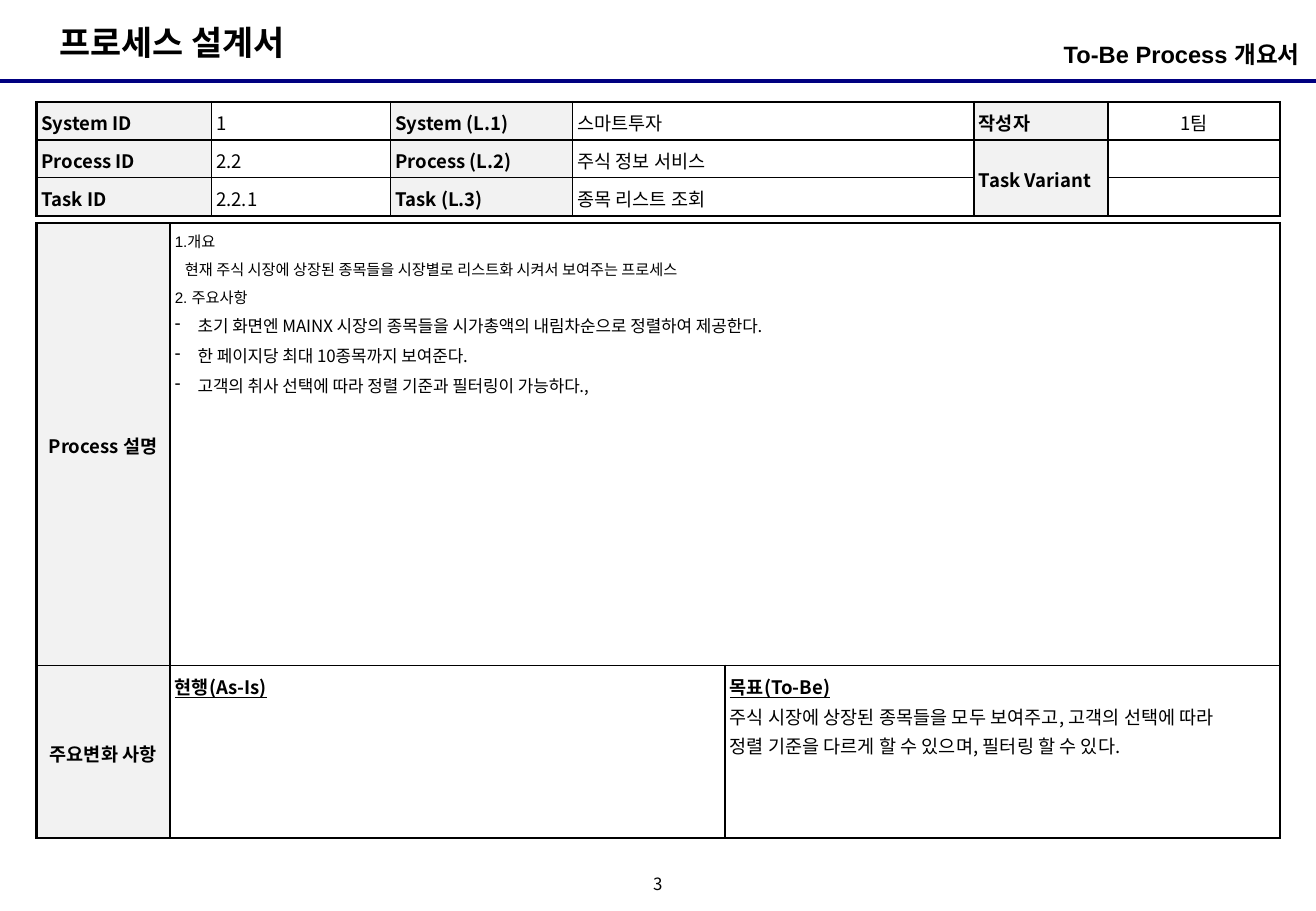
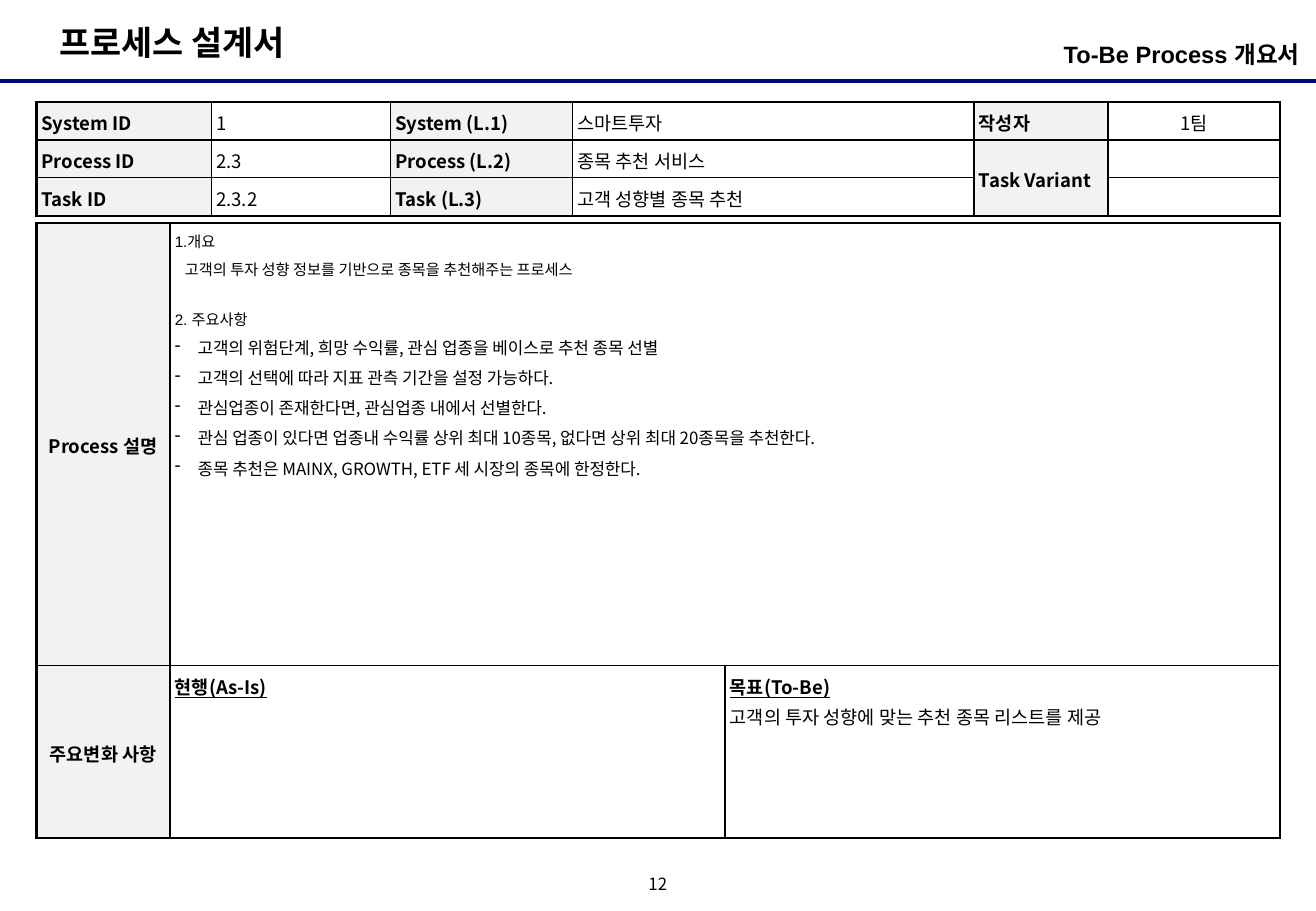
"""Build two process design sheets with a header, an ID grid and a detail grid."""
from dataclasses import dataclass

from lxml import etree
from pptx import Presentation
from pptx.dml.color import RGBColor
from pptx.enum.shapes import MSO_CONNECTOR
from pptx.enum.text import MSO_ANCHOR, MSO_AUTO_SIZE, PP_ALIGN
from pptx.oxml.ns import qn
from pptx.slide import Slide
from pptx.table import Table, _Cell
from pptx.text.text import TextFrame
from pptx.util import Pt

LEFT, MID, RIGHT = PP_ALIGN.LEFT, PP_ALIGN.CENTER, PP_ALIGN.RIGHT
TOP, CENTER = MSO_ANCHOR.TOP, MSO_ANCHOR.MIDDLE
GROW, FIXED = MSO_AUTO_SIZE.SHAPE_TO_FIT_TEXT, MSO_AUTO_SIZE.NONE
STRAIGHT = MSO_CONNECTOR.STRAIGHT


@dataclass(frozen=True)
class Theme:
    ink: str = "000000"
    navy: str = "000080"
    gray: str = "F2F2F2"
    white: str = "FFFFFF"
    latin: str = "Arial"
    asian: str = "Noto Sans CJK KR"
    title: float = 20
    head: float = 14
    cell: float = 11
    body: float = 10
    note: float = 9
    thick: float = 1.5
    thin: float = 1
    rule: float = 2.25
    pad: float = 2.83


THEME = Theme()


@dataclass(frozen=True)
class Para:
    text: str
    size: float = THEME.cell
    font: str = THEME.asian
    bold: bool = False
    under: bool = False
    align: PP_ALIGN = LEFT
    space: float = 1.1
    before: float = 0
    indent: float = 0
    dash: bool = False


@dataclass(frozen=True)
class Box:
    left: float
    top: float
    width: float
    height: float
    pads: tuple[float, float] = (0, 0)
    anchor: MSO_ANCHOR = TOP
    fit: MSO_AUTO_SIZE = FIXED


@dataclass(frozen=True)
class Grid:
    left: float
    top: float
    cols: tuple[float, ...]
    rows: tuple[float, ...]


@dataclass(frozen=True)
class Entry:
    paras: list[Para]
    fill: str = THEME.white
    anchor: MSO_ANCHOR = TOP
    rows: int = 1
    cols: int = 1


@dataclass(frozen=True)
class Sheet:
    page: str
    codes: tuple[str, str]
    names: tuple[str, str]
    about: str
    gap: float
    points: list[str]
    goals: list[str]


WIDTH, HEIGHT = 780, 540
TITLE = Box(28, 9.4, 162.8, 31.6, (7.2, 3.6), fit=GROW)
HEAD = Box(532.2, 20.2, 238.2, 28, (0, 3.6))
PAGE = Box(378, 516.2, 23.8, 18, anchor=CENTER)
IDS = Grid(21.6, 60.4, (103.7, 106.2, 107.9, 238, 79.3, 102.2), (22.5,) * 3)
DETAIL = Grid(21.6, 132.4, (79.2, 329, 329), (262, 102.2))

SHEETS = [
    Sheet("3", ("2.2", "2.2.1"), ("주식 정보 서비스", "종목 리스트 조회"),
          "현재 주식 시장에 상장된 종목들을 시장별로 리스트화 시켜서 보여주는 프로세스", 2,
          ["초기 화면엔 MAINX 시장의 종목들을 시가총액의 내림차순으로 정렬하여 제공한다.",
           "한 페이지당 최대 10종목까지 보여준다.",
           "고객의 취사 선택에 따라 정렬 기준과 필터링이 가능하다.,"],
          ["주식 시장에 상장된 종목들을 모두 보여주고, 고객의 선택에 따라",
           "정렬 기준을 다르게 할 수 있으며, 필터링 할 수 있다."]),
    Sheet("12", ("2.3", "2.3.2"), ("종목 추천 서비스", "고객 성향별 종목 추천"),
          "고객의 투자 성향 정보를 기반으로 종목을 추천해주는 프로세스", 15,
          ["고객의 위험단계, 희망 수익률, 관심 업종을 베이스로 추천 종목 선별",
           "고객의 선택에 따라 지표 관측 기간을 설정 가능하다.",
           "관심업종이 존재한다면, 관심업종 내에서 선별한다.",
           "관심 업종이 있다면 업종내 수익률 상위 최대 10종목, 없다면 상위 최대 20종목을 추천한다.",
           "종목 추천은 MAINX, GROWTH, ETF 세 시장의 종목에 한정한다."],
          ["고객의 투자 성향에 맞는 추천 종목 리스트를 제공"]),
]


def add_color(parent: etree._Element, tag: str, color: str) -> None:
    fill = etree.SubElement(parent, qn(tag))
    etree.SubElement(fill, qn("a:srgbClr"), val=color)


def write(frame: TextFrame, paras: list[Para]) -> None:
    for i, item in enumerate(paras):
        para = frame.add_paragraph() if i else frame.paragraphs[0]
        form = {"alignment": item.align, "line_spacing": item.space,
                "space_before": Pt(item.before)}
        for key, value in form.items():
            setattr(para, key, value)
        props = para._p.get_or_add_pPr()
        props.set("marL", str(Pt(item.indent)))
        props.set("indent", str(Pt(-item.indent if item.dash else 0)))
        if item.dash:
            add_color(props, "a:buClr", THEME.ink)
            etree.SubElement(props, qn("a:buChar"), char="-")
        if not item.text:
            etree.SubElement(para._p, qn("a:endParaRPr"), sz=str(int(item.size * 100)))
            continue
        run = para.add_run()
        run.text = item.text
        form = {"size": Pt(item.size), "name": item.font, "bold": item.bold,
                "underline": item.under}
        for key, value in form.items():
            setattr(run.font, key, value)
        run.font.color.rgb = RGBColor.from_string(THEME.ink)
        etree.SubElement(run._r.get_or_add_rPr(), qn("a:ea"), typeface=THEME.asian)


def add_text(slide: Slide, box: Box, para: Para) -> None:
    shape = slide.shapes.add_textbox(
        Pt(box.left), Pt(box.top), Pt(box.width), Pt(box.height))
    side, edge = box.pads
    form = {"word_wrap": True, "auto_size": box.fit, "vertical_anchor": box.anchor,
            "margin_left": Pt(side), "margin_right": Pt(side),
            "margin_top": Pt(edge), "margin_bottom": Pt(edge)}
    for key, value in form.items():
        setattr(shape.text_frame, key, value)
    write(shape.text_frame, [para])


def add_rule(slide: Slide) -> None:
    line = slide.shapes.add_connector(STRAIGHT, 0, Pt(48), Pt(WIDTH), Pt(48))
    line.line.width = Pt(THEME.rule)
    line.line.color.rgb = RGBColor.from_string(THEME.navy)
    etree.SubElement(line._element.spPr, qn("a:effectLst"))


def frame_cell(table: Table, row: int, col: int) -> None:
    cell = table.cell(row, col)
    outer = {"L": col == 0,
             "R": col + max(cell.span_width, 1) == len(table.columns),
             "T": row == 0,
             "B": row + max(cell.span_height, 1) == len(table.rows)}
    props = cell._tc.get_or_add_tcPr()
    for side, edge in outer.items():
        if cell.is_spanned and not edge:
            continue
        width = THEME.thick if edge else THEME.thin
        line = etree.SubElement(props, qn(f"a:ln{side}"), w=str(Pt(width)))
        add_color(line, "a:solidFill", THEME.ink)


def fill_cell(cell: _Cell, entry: Entry) -> None:
    cell.fill.solid()
    cell.fill.fore_color.rgb = RGBColor.from_string(entry.fill)
    pad = Pt(THEME.pad)
    form = {"vertical_anchor": entry.anchor, "margin_left": pad,
            "margin_right": pad, "margin_top": pad, "margin_bottom": pad}
    for key, value in form.items():
        setattr(cell, key, value)
    write(cell.text_frame, entry.paras)


def add_grid(slide: Slide, grid: Grid, rows: list[list[Entry | None]]) -> None:
    table = slide.shapes.add_table(
        len(grid.rows), len(grid.cols), Pt(grid.left), Pt(grid.top),
        Pt(sum(grid.cols)), Pt(sum(grid.rows))).table
    table.first_row = table.horz_banding = False
    for col, width in zip(table.columns, grid.cols):
        col.width = Pt(width)
    for row, height in zip(table.rows, grid.rows):
        row.height = Pt(height)
    for r, line in enumerate(rows):
        for c, entry in enumerate(line):
            if entry and entry.rows * entry.cols > 1:
                end = table.cell(r + entry.rows - 1, c + entry.cols - 1)
                table.cell(r, c).merge(end)
    for r, line in enumerate(rows):
        for c, entry in enumerate(line):
            frame_cell(table, r, c)
            fill_cell(table.cell(r, c), entry or Entry([Para("")]))


def label(text: str, anchor: MSO_ANCHOR = TOP, align: PP_ALIGN = LEFT,
          rows: int = 1) -> Entry:
    return Entry([Para(text, bold=True, align=align)], THEME.gray, anchor, rows)


def plain(text: str) -> Entry:
    return Entry([Para(text)])


def id_rows(sheet: Sheet) -> list[list[Entry | None]]:
    heads = ("System", "Process", "Task")
    codes = ("1", *sheet.codes)
    names = ("스마트투자", *sheet.names)
    tails = [
        [label("작성자", CENTER), Entry([Para("1팀", align=MID)], anchor=CENTER)],
        [label("Task Variant", CENTER, rows=2), None],
        [None, None],
    ]
    return [[label(f"{head} ID"), plain(code), label(f"{head} (L.{i})"), plain(name), *tail]
            for i, (head, code, name, tail) in enumerate(zip(heads, codes, names, tails), 1)]


def detail_rows(sheet: Sheet) -> list[list[Entry | None]]:
    size, font = THEME.note, THEME.latin
    notes = [
        Para("1.개요", size, font),
        Para(sheet.about, size, font, before=2, indent=6),
        Para("2. 주요사항", size, font, before=sheet.gap),
        *(Para(point, THEME.body, before=2, indent=13.5, dash=True)
          for point in sheet.points),
    ]
    now, goal = (Para(text, bold=True, under=True)
                 for text in ("현행(As-Is)", "목표(To-Be)"))
    return [
        [label("Process 설명", CENTER, MID), Entry(notes, cols=2), None],
        [label("주요변화 사항", CENTER, MID), Entry([now]),
         Entry([goal, *(Para(text) for text in sheet.goals)])],
    ]


def add_sheet(slide: Slide, sheet: Sheet) -> None:
    add_rule(slide)
    add_text(slide, TITLE, Para("프로세스 설계서", THEME.title, THEME.latin, True, space=1))
    add_text(slide, PAGE, Para(sheet.page, THEME.body, align=MID, space=0.8))
    add_grid(slide, IDS, id_rows(sheet))
    add_grid(slide, DETAIL, detail_rows(sheet))
    add_text(slide, HEAD, Para("To-Be Process 개요서", THEME.head, THEME.latin, True,
                               align=RIGHT, space=1))


def main() -> None:
    deck = Presentation()
    deck.slide_width, deck.slide_height = Pt(WIDTH), Pt(HEIGHT)
    for sheet in SHEETS:
        add_sheet(deck.slides.add_slide(deck.slide_layouts[6]), sheet)
    deck.save("out.pptx")


if __name__ == "__main__":
    main()
